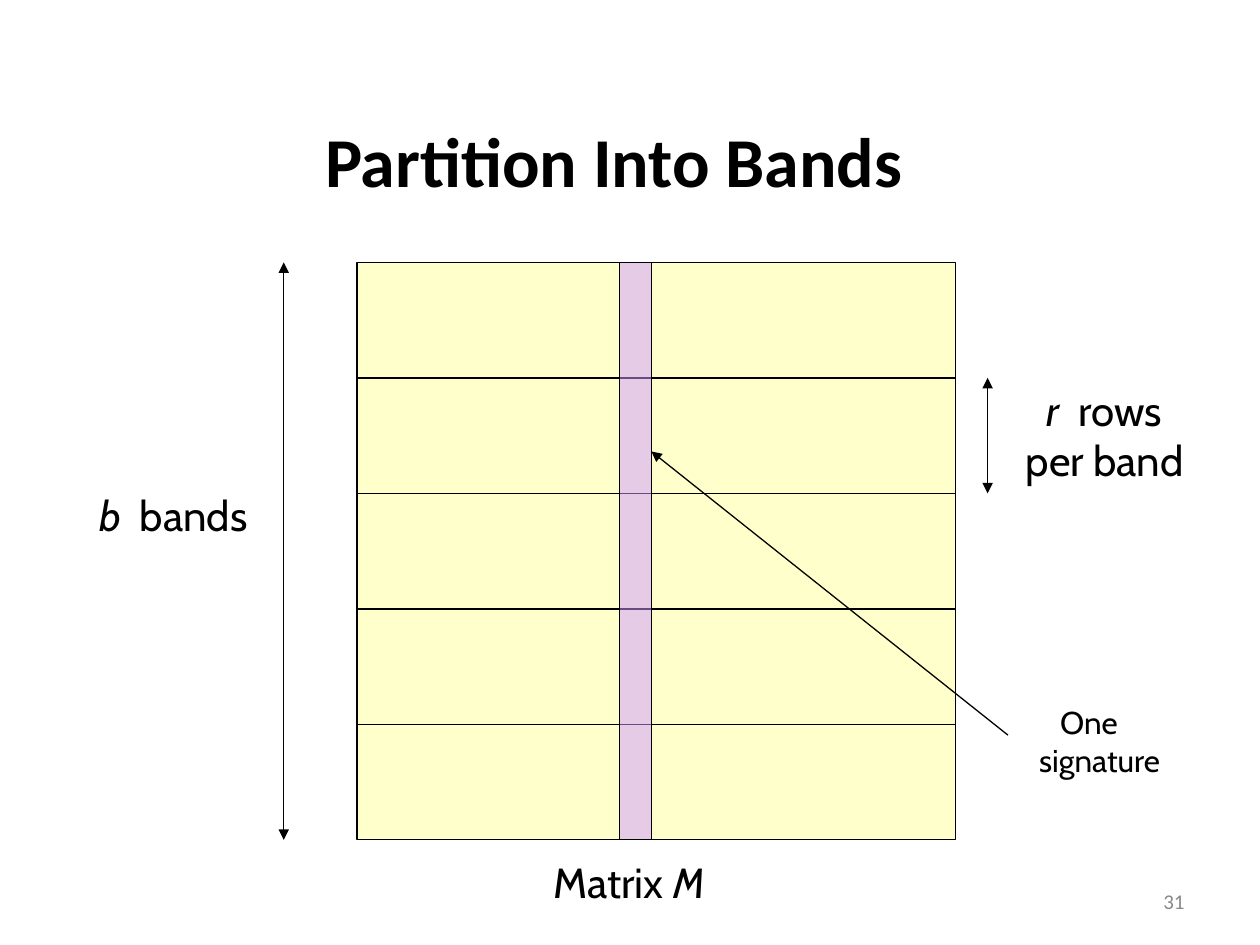
"""Build the slide that shows a signature matrix divided into bands."""
from dataclasses import dataclass

from lxml.etree import SubElement
from pptx import Presentation
from pptx.dml.color import RGBColor
from pptx.enum.shapes import MSO_CONNECTOR, MSO_SHAPE
from pptx.enum.text import MSO_ANCHOR, MSO_AUTO_SIZE, PP_ALIGN
from pptx.oxml.ns import qn
from pptx.slide import Slide
from pptx.util import Cm, Pt

BLACK = RGBColor(0x00, 0x00, 0x00)
GRAY = RGBColor(0x89, 0x89, 0x89)
YELLOW = RGBColor(0xFF, 0xFF, 0x99)
PURPLE = RGBColor(0xCC, 0x99, 0xFF)

BAND_COUNT = 5
MATRIX_LEFT, MATRIX_TOP = 7.2, 5.29
MATRIX_WIDTH, MATRIX_HEIGHT = 12.06, 11.64
MATRIX_RIGHT = MATRIX_LEFT + MATRIX_WIDTH
MATRIX_BOTTOM = MATRIX_TOP + MATRIX_HEIGHT
BAND_HEIGHT = MATRIX_HEIGHT / BAND_COUNT
SIGNATURE_LEFT, SIGNATURE_WIDTH = 12.49, 0.64


@dataclass
class Block:
    left: float
    width: float
    color: RGBColor


@dataclass
class Line:
    start: tuple[float, float]
    end: tuple[float, float]
    arrowheads: tuple[str, ...] = ()


@dataclass
class Label:
    """A text box whose paragraphs hold (text, italic) runs."""
    box: tuple[float, float, float, float]
    paragraphs: list[list[tuple[str, bool]]]
    size: int = 24
    font: str = "Cabin"
    color: RGBColor = BLACK
    align: PP_ALIGN = PP_ALIGN.CENTER
    anchor: MSO_ANCHOR = MSO_ANCHOR.TOP
    first_indent: float = 0


BLOCKS = [
    Block(MATRIX_LEFT, MATRIX_WIDTH, YELLOW),
    Block(SIGNATURE_LEFT, SIGNATURE_WIDTH, PURPLE),
]
BAND_EDGES = [MATRIX_TOP + BAND_HEIGHT * band for band in range(1, BAND_COUNT)]
DIVIDERS = [Line((MATRIX_LEFT, y), (MATRIX_RIGHT, y)) for y in BAND_EDGES]
ARROWS = [
    Line((19.91, BAND_EDGES[0]), (19.91, BAND_EDGES[1]), ("headEnd", "tailEnd")),
    Line((5.72, MATRIX_TOP), (5.72, MATRIX_BOTTOM), ("headEnd", "tailEnd")),
    Line((20.32, 14.82), (SIGNATURE_LEFT + SIGNATURE_WIDTH, 9.1), ("tailEnd",)),
]
LABELS = [
    Label((10.82, 17.15, 3.73, 1.27), [[("Matrix ", False), ("M", True)]]),
    Label((20.35, 7.62, 3.84, 2.29),
          [[("r ", True), (" rows", False)], [("per band", False)]]),
    Label((1.63, 9.75, 3.73, 1.27), [[("b ", True), (" bands", False)]]),
    Label((20.7, 14.05, 3.1, 1.78), [[("One", False)], [("signature", False)]],
          size=18, align=PP_ALIGN.LEFT, first_indent=0.42),
    Label((18.21, 17.65, 5.92, 1.02), [[("31", False)]], size=12, font="Calibri",
          color=GRAY, align=PP_ALIGN.RIGHT, anchor=MSO_ANCHOR.MIDDLE),
]


def draw_block(slide: Slide, block: Block) -> None:
    column = slide.shapes.add_shape(
        MSO_SHAPE.RECTANGLE, Cm(block.left), Cm(MATRIX_TOP),
        Cm(block.width), Cm(MATRIX_HEIGHT))
    column.shadow.inherit = False
    column.fill.solid()
    column.fill.fore_color.rgb = block.color
    color = column.fill._xPr.find(qn("a:solidFill"))[0]
    SubElement(color, qn("a:alpha"), val="50000")
    column.line.color.rgb = BLACK
    column.line.width = Pt(0.75)


def draw_line(slide: Slide, line: Line) -> None:
    connector = slide.shapes.add_connector(
        MSO_CONNECTOR.STRAIGHT, *map(Cm, line.start + line.end))
    connector.line.color.rgb = BLACK
    connector.line.width = Pt(0.75)
    outline = connector.line._get_or_add_ln()
    for arrowhead in line.arrowheads:
        SubElement(outline, qn(f"a:{arrowhead}"), type="triangle")
    SubElement(connector._element.spPr, qn("a:effectLst"))


def draw_label(slide: Slide, label: Label) -> None:
    frame = slide.shapes.add_textbox(*map(Cm, label.box)).text_frame
    frame.word_wrap = False
    frame.auto_size = MSO_AUTO_SIZE.NONE
    frame.vertical_anchor = label.anchor
    for index, runs in enumerate(label.paragraphs):
        paragraph = frame.add_paragraph() if index else frame.paragraphs[0]
        paragraph.alignment = label.align
        paragraph.font.size = Pt(label.size)
        paragraph.font.name = label.font
        paragraph.font.color.rgb = label.color
        for text, italic in runs:
            run = paragraph.add_run()
            run.text = text
            if italic:
                run.font.italic = True
    if label.first_indent:
        properties = frame.paragraphs[0]._p.get_or_add_pPr()
        properties.set("marL", str(Cm(label.first_indent)))


def draw_title(slide: Slide) -> None:
    title = slide.shapes.title
    title.left, title.top, title.width, title.height = map(Cm, (0.94, 1.93, 22.86, 2.57))
    title.text_frame.text = "Partition Into Bands"
    heading = title.text_frame.paragraphs[0]
    heading.alignment = PP_ALIGN.CENTER
    heading.font.name = "Calibri"
    heading.font.size = Pt(40)
    heading.font.bold = True
    heading.font.color.rgb = BLACK


def main() -> None:
    presentation = Presentation()
    presentation.slide_width, presentation.slide_height = Cm(25.4), Cm(19.05)
    slide = presentation.slides.add_slide(presentation.slide_layouts[5])
    matrix, signature = BLOCKS
    draw_title(slide)
    draw_block(slide, matrix)
    for divider in DIVIDERS:
        draw_line(slide, divider)
    draw_block(slide, signature)
    for arrow in ARROWS:
        draw_line(slide, arrow)
    for label in LABELS:
        draw_label(slide, label)
    presentation.save("out.pptx")


if __name__ == "__main__":
    main()
